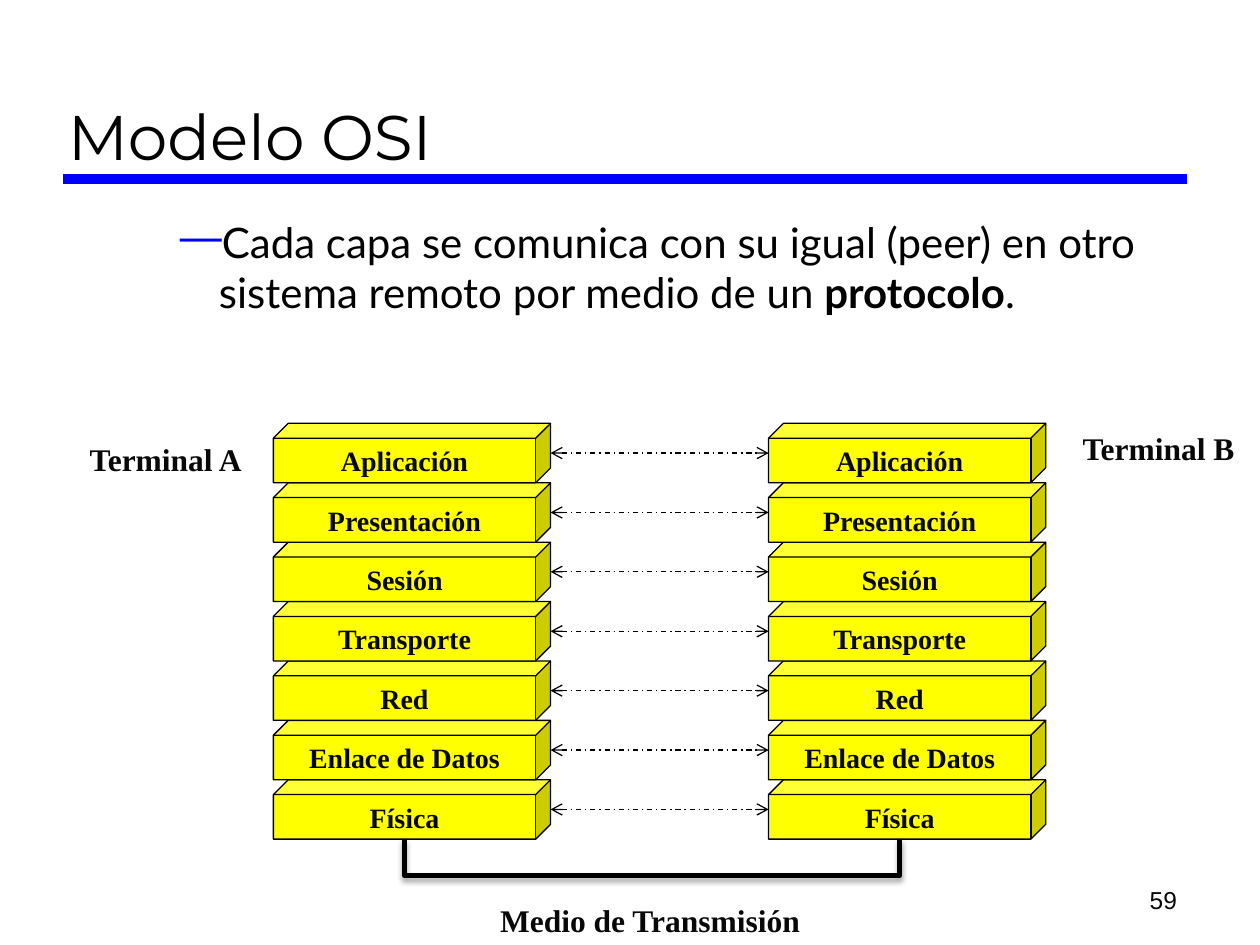
from lxml import etree
from pptx import Presentation
from pptx.dml.color import RGBColor
from pptx.enum.dml import MSO_LINE
from pptx.enum.shapes import MSO_CONNECTOR, MSO_SHAPE
from pptx.enum.text import MSO_ANCHOR, PP_ALIGN
from pptx.oxml.ns import qn
from pptx.util import Inches, Pt

BLACK = RGBColor(0x00, 0x00, 0x00)
INK = RGBColor(0x08, 0x08, 0x08)
BLUE = RGBColor(0x00, 0x00, 0xFF)
YELLOW = RGBColor(0xFF, 0xFF, 0x00)

LAYERS = ["Aplicación", "Presentación", "Sesión", "Transporte", "Red",
          "Enlace de Datos", "Física"]
STACK_X = [2.17, 6.10]
STACK_TOP, STACK_BOTTOM = 3.36, 6.66
BOX_W = 2.2
BOX_H = (STACK_BOTTOM - STACK_TOP) / len(LAYERS)

prs = Presentation()
prs.slide_width, prs.slide_height = Inches(10), Inches(7.5)
s = prs.slides.add_slide(prs.slide_layouts[6])


def write(sp, *runs, font="Times New Roman", size=18, color=INK, bold=(True,),
          align=PP_ALIGN.CENTER, anchor=MSO_ANCHOR.TOP, wrap=True):
    """Fill the shape with one paragraph; bold holds one flag per run."""
    tf = sp.text_frame
    tf.word_wrap = wrap
    tf.vertical_anchor = anchor
    p = tf.paragraphs[0]
    p.alignment = align
    for text, is_bold in zip(runs, bold):
        r = p.add_run()
        r.text = text
        r.font.name, r.font.size, r.font.bold = font, Pt(size), is_bold
        r.font.color.rgb = color
    return p


def add_line(x1, y1, x2, y2, color, width):
    line = s.shapes.add_connector(MSO_CONNECTOR.STRAIGHT, Inches(x1), Inches(y1),
                                  Inches(x2), Inches(y2))
    line.line.color.rgb = color
    line.line.width = Pt(width)
    etree.SubElement(line._element.spPr, qn("a:effectLst"))
    return line


# Title, rule and page number
add_line(0.5, 1.42, 9.42, 1.42, BLUE, 6)
sp = s.shapes.add_textbox(Inches(0.44), Inches(0.17), Inches(8.97), Inches(1.25))
write(sp, "Modelo OSI", font="Montserrat", size=36, color=BLACK, bold=[False],
      align=PP_ALIGN.LEFT, anchor=MSO_ANCHOR.BOTTOM)
sp = s.shapes.add_textbox(Inches(7.36), Inches(6.81), Inches(2.08), Inches(0.5))
write(sp, "59", font="Arial", size=14, bold=[False],
      align=PP_ALIGN.RIGHT, anchor=MSO_ANCHOR.BOTTOM)

# Body statement with a blue dash bullet
sp = s.shapes.add_textbox(Inches(0.83), Inches(1.67), Inches(8.5), Inches(1.5))
p = write(sp, "Cada capa se comunica con su igual (peer) en otro sistema remoto "
          "por medio de un ", "protocolo", ".", font="Lato", size=24, color=BLACK,
          bold=[False, True, False], align=PP_ALIGN.LEFT)
pPr = p._p.get_or_add_pPr()
pPr.set("lvl", "1")
pPr.set("marL", str(Inches(0.81)))
pPr.set("indent", str(Inches(-0.31)))
bullet_color = etree.SubElement(pPr, qn("a:buClr"))
etree.SubElement(bullet_color, qn("a:srgbClr"), val=str(BLUE))
etree.SubElement(pPr, qn("a:buChar"), char="—")

# Layer stacks, drawn bottom up so that each cube overlaps the one below
for x in STACK_X:
    for i, layer in reversed(list(enumerate(LAYERS))):
        sp = s.shapes.add_shape(MSO_SHAPE.CUBE, Inches(x), Inches(STACK_TOP + i * BOX_H),
                                Inches(BOX_W), Inches(BOX_H))
        sp.shadow.inherit = False
        sp.fill.solid()
        sp.fill.fore_color.rgb = YELLOW
        sp.line.color.rgb = BLACK
        sp.line.width = Pt(0.75)
        write(sp, layer, size=16, anchor=MSO_ANCHOR.MIDDLE, wrap=False)

# Peer protocol arrows
for i in range(len(LAYERS)):
    y = STACK_TOP + (i + 0.5) * BOX_H
    arrow = add_line(STACK_X[0] + BOX_W, y, STACK_X[1], y, BLACK, 0.75)
    arrow.line.dash_style = MSO_LINE.DASH_DOT
    ln = arrow.line._get_or_add_ln()
    for end in ("a:headEnd", "a:tailEnd"):
        etree.SubElement(ln, qn(end), type="arrow")

# Transmission medium joining the two stacks
left, right = [x + 1.04 for x in STACK_X]
fb = s.shapes.build_freeform(Inches(left), Inches(STACK_BOTTOM))
fb.add_line_segments([(Inches(left), Inches(6.95)), (Inches(right), Inches(6.95)),
                      (Inches(right), Inches(STACK_BOTTOM))], close=False)
medium = fb.convert_to_shape()
medium.fill.background()
medium.line.color.rgb = BLACK
medium.line.width = Pt(3)
medium.shadow.inherit = False
effects = medium._element.spPr.find(qn("a:effectLst"))
shadow = etree.SubElement(effects, qn("a:outerShdw"), blurRad=str(Pt(3.1)),
                          dist=str(Pt(1.8)), dir="5400000", rotWithShape="0")
shadow_color = etree.SubElement(shadow, qn("a:srgbClr"), val=str(BLACK))
etree.SubElement(shadow_color, qn("a:alpha"), val="35000")

# Labels
for text, x, y, w in [("Terminal A", 0.51, 3.44, 1.61),
                      ("Terminal B", 8.39, 3.36, 1.61),
                      ("Medio de Transmisión", 3.66, 7.1, 3)]:
    sp = s.shapes.add_textbox(Inches(x), Inches(y), Inches(w), Inches(0.4))
    write(sp, text)

prs.save("out.pptx")
